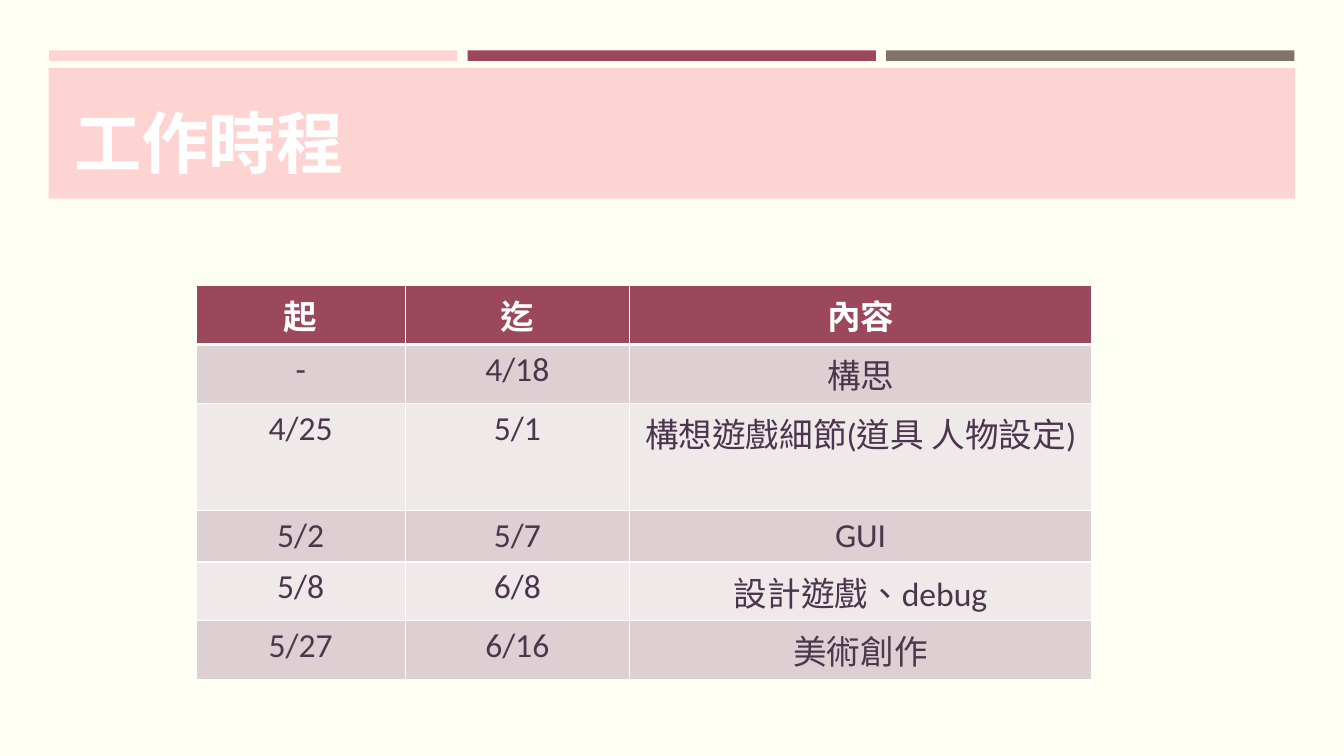
from lxml import etree
from pptx import Presentation
from pptx.dml.color import RGBColor
from pptx.enum.lang import MSO_LANGUAGE_ID
from pptx.enum.shapes import MSO_SHAPE
from pptx.enum.text import MSO_ANCHOR, MSO_AUTO_SIZE, PP_ALIGN
from pptx.oxml.ns import qn
from pptx.util import Pt

RECT = MSO_SHAPE.RECTANGLE
LEFT, CENTER = PP_ALIGN.LEFT, PP_ALIGN.CENTER
MIDDLE = MSO_ANCHOR.MIDDLE
NO_FIT = MSO_AUTO_SIZE.NONE
CHINESE = MSO_LANGUAGE_ID.TRADITIONAL_CHINESE

FONT = "Calibri"
COLORS = {
    "cream": "FFFFF3",
    "pink": "FED4D2",
    "wine": "9C485C",
    "taupe": "827266",
    "white": "FFFFFF",
    "plum": "4C364D",
    "band_dark": "DECFD2",
    "band_light": "EFE9EA",
}
SCHEDULE = [
    ("起", "迄", "內容"),
    ("-", "4/18", "構思"),
    ("4/25", "5/1", "構想遊戲細節(道具 人物設定)"),
    ("5/2", "5/7", "GUI"),
    ("5/8", "6/8", "設計遊戲、debug"),
    ("5/27", "6/16", "美術創作"),
]
COL_WIDTHS = (149.5, 160, 330.5)
ROW_HEIGHT = 29.5


def set_fill(fill, color):
    """Make a fill solid in a named colour."""
    fill.solid()
    fill.fore_color.rgb = RGBColor.from_string(COLORS[color])


def add_bar(s, left, top, width, height, color):
    """Add a plain rectangle without outline."""
    sp = s.shapes.add_shape(RECT, Pt(left), Pt(top), Pt(width), Pt(height))
    sp.shadow.inherit = False
    set_fill(sp.fill, color)
    sp.line.fill.background()


def add_text(tf, text, size, color, bold, align):
    """Write one run in the first paragraph of a text frame."""
    p = tf.paragraphs[0]
    p.alignment = align
    r = p.add_run()
    r.text = text
    r.font.name = FONT
    r.font.size = Pt(size)
    r.font.bold = bold
    r.font.language_id = CHINESE
    r.font.color.rgb = RGBColor.from_string(COLORS[color])


def set_title(s, text):
    """Place and format the title placeholder."""
    sp = s.shapes.title
    sp.left, sp.top, sp.width, sp.height = Pt(46), Pt(61), Pt(868), Pt(80)
    tf = sp.text_frame
    tf.auto_size = NO_FIT
    tf.vertical_anchor = MIDDLE
    add_text(tf, text, 48, "white", True, LEFT)


def set_borders(cell, top, bottom):
    """Give a cell white borders, with its own top and bottom widths."""
    tc_pr = cell._tc.get_or_add_tcPr()
    for side, width in (("L", 1), ("R", 1), ("T", top), ("B", bottom)):
        ln = etree.SubElement(tc_pr, qn(f"a:ln{side}"), w=str(Pt(width)))
        fill = etree.SubElement(ln, qn("a:solidFill"))
        etree.SubElement(fill, qn("a:srgbClr"), val=COLORS["white"])


def add_schedule(s, left, top):
    """Add the schedule table with a header and banded rows."""
    frame = s.shapes.add_table(len(SCHEDULE), len(COL_WIDTHS), Pt(left), Pt(top),
                               Pt(sum(COL_WIDTHS)), Pt(ROW_HEIGHT * len(SCHEDULE)))
    table = frame.table
    for column, width in zip(table.columns, COL_WIDTHS):
        column.width = Pt(width)
    for i, values in enumerate(SCHEDULE):
        table.rows[i].height = Pt(ROW_HEIGHT)
        header = i == 0
        band = "wine" if header else "band_dark" if i % 2 else "band_light"
        for j, text in enumerate(values):
            cell = table.cell(i, j)
            set_borders(cell, 3 if i == 1 else 1, 3 if header else 1)
            set_fill(cell.fill, band)
            add_text(cell.text_frame, text, 24, "white" if header else "plum", header, CENTER)


def main():
    """Build the work schedule slide."""
    prs = Presentation()
    prs.slide_width, prs.slide_height = Pt(960), Pt(540)
    s = prs.slides.add_slide(prs.slide_layouts[5])
    set_fill(s.background.fill, "cream")
    for i, color in enumerate(("pink", "wine", "taupe")):
        add_bar(s, 35 + 299 * i, 36, 291.6, 7.5, color)
    add_bar(s, 34.8, 48.5, 890.4, 93.5, "pink")
    title = s.shapes.title._element
    title.getparent().append(title)
    set_title(s, "工作時程")
    add_schedule(s, 140, 204)
    prs.save("out.pptx")


if __name__ == "__main__":
    main()
